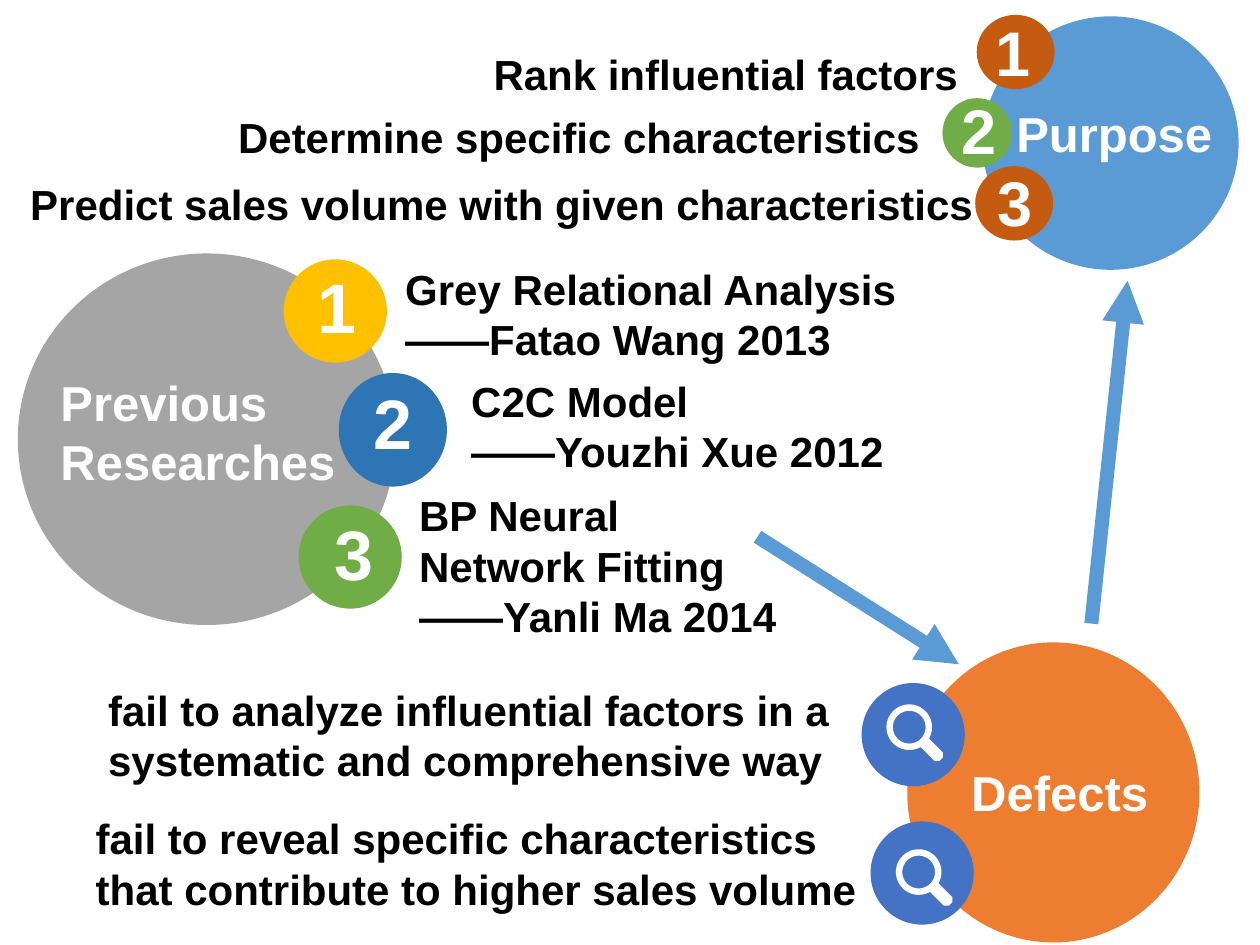
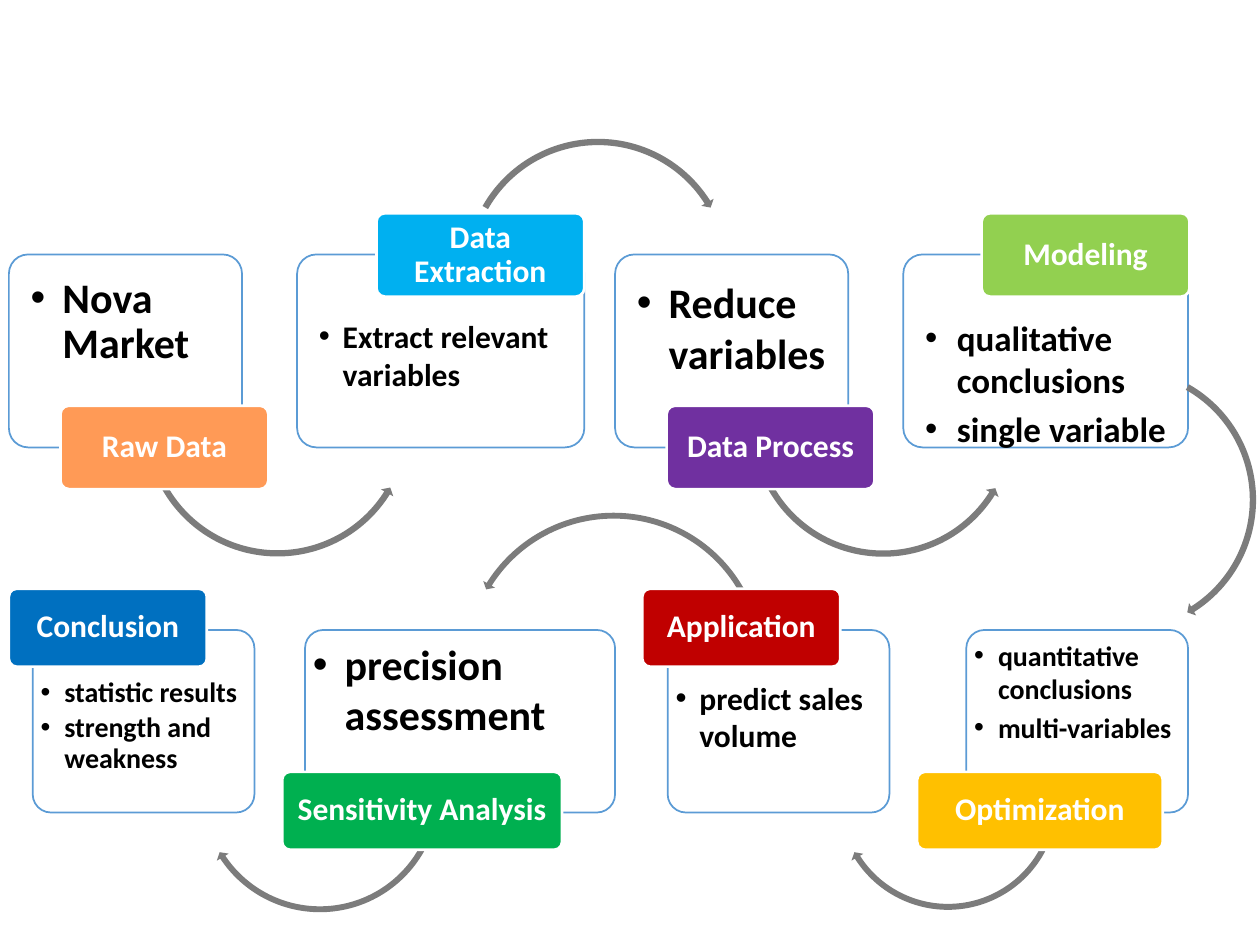
"""Build two slides: a research overview and a modelling workflow."""
from math import asin, cos, pi, sin
from typing import NamedTuple

from lxml.etree import SubElement
from pptx import Presentation
from pptx.dml.color import RGBColor
from pptx.enum.shapes import MSO_CONNECTOR, MSO_SHAPE as Preset
from pptx.enum.text import MSO_ANCHOR as Anchor, PP_ALIGN as Align
from pptx.oxml.ns import qn
from pptx.util import Cm, Pt

WHITE = RGBColor(0xFF, 0xFF, 0xFF)
BLACK = RGBColor(0x00, 0x00, 0x00)
SKY = RGBColor(0x5B, 0x9B, 0xD5)
ORANGE = RGBColor(0xED, 0x7D, 0x31)
GREY = RGBColor(0xA5, 0xA5, 0xA5)
INDIGO = RGBColor(0x44, 0x72, 0xC4)
GOLD = RGBColor(0xFF, 0xC0, 0x00)
BLUE = RGBColor(0x2E, 0x75, 0xB6)
GREEN = RGBColor(0x70, 0xAD, 0x47)
RUST = RGBColor(0xC5, 0x5A, 0x11)
PEACH = RGBColor(0xFF, 0x9A, 0x56)
CYAN = RGBColor(0x00, 0xB0, 0xF0)
PURPLE = RGBColor(0x70, 0x30, 0xA0)
LIME = RGBColor(0x92, 0xD0, 0x50)
RED = RGBColor(0xC0, 0x00, 0x00)
EMERALD = RGBColor(0x00, 0xB0, 0x50)
COBALT = RGBColor(0x00, 0x70, 0xC0)
ARROW_GREY = RGBColor(0x7C, 0x7C, 0x7C)

TOPICS = [
    (["Purpose"], SKY, (19.81, 0.33, 5.16, 5.11), (20.24, 1.96, 4.78, 1.45)),
    (["Defects"], ORANGE, (18.29, 12.95, 5.89, 6.05), (19.33, 15.24, 5.16, 1.45)),
    (["Previous Researches"], GREY, (0.36, 5.11, 7.62, 7.49), (0.97, 7.39, 6.1, 2.64)),
]
STATEMENTS = [
    (["Rank influential factors"], (9.7, 0.86, 9.95, 1.27)),
    (["Determine specific characteristics"], (4.55, 2.13, 14.53, 1.27)),
    (["Predict sales volume with given characteristics"], (0.36, 3.48, 24.21, 1.27)),
    (["Grey Relational Analysis", "——Fatao Wang 2013"], (7.92, 5.18, 10.52, 2.31)),
    (["C2C Model", "——Youzhi Xue 2012"], (9.25, 7.44, 9.09, 2.31)),
    (["BP Neural Network Fitting", "——Yanli Ma 2014"], (8.2, 9.75, 7.92, 3.33)),
    (["fail to analyze influential factors in a systematic and comprehensive way"],
     (1.93, 13.67, 15.16, 2.31)),
    (["fail to reveal specific characteristics that contribute to higher sales volume"],
     (1.68, 16.26, 16.43, 2.31)),
]
NUMBERS = [
    ("1", RUST, (19.69, 0.3, 1.57, 1.5), (19.81, 0.15), 36),
    ("2", GREEN, (19, 1.98, 1.4, 1.4), (19.13, 1.73), 36),
    ("3", RUST, (19.66, 3.35, 1.57, 1.5), (19.86, 3.18), 36),
    ("1", GOLD, (5.72, 5.23, 2.08, 2.08), (6.15, 5.18), 40),
    ("2", BLUE, (6.83, 7.52, 2.18, 2.29), (7.29, 7.52), 40),
    ("3", GREEN, (6.02, 10.19, 2.08, 2.08), (6.5, 10.16), 40),
]
MAGNIFIERS = [((17.37, 13.77), (18.33, 14.66)), ((17.55, 16.56), (18.52, 17.58))]
MAGNIFIER_DISC = 2.08
FLOW_ARROWS = [(15.27, 10.82, 19.33, 13.39), (22, 12.57, 22.73, 5.66)]


class Row(NamedTuple):
    """Vertical measures shared by the cards of one row."""
    top: float
    height: float
    label_height: float
    label_drop: float
    inset: float


class Arrow(NamedTuple):
    """Curved arrow; angles are head length, head end and tail, in degrees."""
    preset: int
    left: float
    top: float
    size: float
    thickness: float
    angles: tuple
    head: float
    rotation: int = 0


class Card(NamedTuple):
    """One step of the workflow."""
    title: str
    colour: RGBColor
    row: Row
    box: tuple
    label: tuple
    label_above: bool
    bullets: list
    size: int
    arrow: Arrow = None
    spacing: float = 1.0
    filled: bool = True


UPPER = Row(5.13, 3.89, 1.68, 3.05, 0.36)
LOWER = Row(12.7, 3.68, 1.57, 2.86, 0.08)
LABEL_RISE = 0.83
TURN, TURN_LEFT = Preset.CIRCULAR_ARROW, Preset.LEFT_CIRCULAR_ARROW
OVER = (2.73, 327.7, 209.6)
UNDER = (2.73, 32.2, 152)

CARDS = [
    Card("Raw Data", PEACH, UPPER, (0.18, 4.7), (1.22, 4.19), False,
         ["Nova Market"], 24,
         Arrow(TURN_LEFT, 2.84, 5.79, 5.51, 0.023, UNDER, 0.026), 0.9),
    Card("Data Extraction", CYAN, UPPER, (5.99, 5.79), (7.59, 4.19), True,
         ["Extract relevant variables"], 18,
         Arrow(TURN, 9.3, 2.72, 5.51, 0.023, OVER, 0.026)),
    Card("Data Process", PURPLE, UPPER, (12.4, 4.7), (13.44, 4.19), False,
         ["Reduce variables"], 24,
         Arrow(TURN_LEFT, 15.06, 5.82, 5.49, 0.023, UNDER, 0.027)),
    Card("Modeling", LIME, UPPER, (18.21, 5.74), (19.79, 4.19), True,
         ["qualitative conclusions", "single variable"], 20,
         Arrow(TURN, 19.89, 7.32, 5.51, 0.023, OVER, 0.026, 90)),
    Card("Optimization", GOLD, LOWER, (19.48, 4.47), (18.49, 4.95), False,
         ["quantitative conclusions", "multi-variables"], 16,
         Arrow(TURN, 16.81, 13.82, 4.6, 0.026, (3.14, 147.5, 28), 0.03)),
    Card("Application", RED, LOWER, (13.46, 4.47), (12.95, 3.99), True,
         ["predict sales volume"], 18,
         Arrow(TURN_LEFT, 9.27, 10.26, 6.2, 0.019, (2.29, 212.2, 331), 0.022)),
    Card("Sensitivity Analysis", EMERALD, LOWER, (6.15, 6.25), (5.69, 5.64), False,
         ["precision assessment"], 24,
         Arrow(TURN, 3.96, 13.49, 4.98, 0.024, (2.89, 146.4, 28), 0.028), filled=False),
    Card("Conclusion", COBALT, LOWER, (0.66, 4.47), (0.18, 3.99), True,
         ["statistic results", "strength and weakness"], 16, spacing=0.9),
]


def cm_all(values):
    return [Cm(value) for value in values]


def add_preset(slide, preset, area, fill=None, line=None, width=1):
    shape = slide.shapes.add_shape(preset, *cm_all(area))
    shape.shadow.inherit = False
    if fill is None:
        shape.fill.background()
    else:
        shape.fill.solid()
        shape.fill.fore_color.rgb = fill
    if line is None:
        shape.line.fill.background()
    else:
        shape.line.color.rgb = line
        shape.line.width = Pt(width)
    return shape


def write(shape, lines, size, colour, font):
    frame = shape.text_frame
    frame.word_wrap = True
    for index, line in enumerate(lines):
        paragraph = frame.paragraphs[0] if index == 0 else frame.add_paragraph()
        run = paragraph.add_run()
        run.text = line
        run.font.name = font
        run.font.size = Pt(size)
        run.font.bold = True
        run.font.color.rgb = colour
    return frame


def add_text(slide, area, lines, size, colour, font="Arial"):
    return write(slide.shapes.add_textbox(*cm_all(area)), lines, size, colour, font)


def set_margins(frame, side, top):
    frame.margin_left = frame.margin_right = Cm(side)
    frame.margin_top = frame.margin_bottom = Cm(top)


def add_flow_arrow(slide, ends):
    connector = slide.shapes.add_connector(MSO_CONNECTOR.STRAIGHT, *cm_all(ends))
    connector.line.color.rgb = SKY
    connector.line.width = Pt(8)
    properties = connector.element.spPr
    SubElement(properties.find(qn("a:ln")), qn("a:tailEnd"), type="triangle")
    SubElement(properties, qn("a:effectLst"))


def add_magnifier(slide, centre, radius=0.46, hole=0.33, half_handle=0.12, steps=48):
    def place(along, across):
        return (Cm(centre[0] + (along - across) * cos(pi / 4)),
                Cm(centre[1] + (along + across) * sin(pi / 4)))

    gap = asin(half_handle / radius)
    angles = [gap + (2 * pi - 2 * gap) * step / steps for step in range(steps + 1)]
    outline = [place(radius * cos(angle), radius * sin(angle)) for angle in angles]
    outline += [place(*point) for point in
                ((0.84, -half_handle), (0.91, -0.05), (0.91, 0.05), (0.84, half_handle))]
    turns = [-2 * pi * step / steps for step in range(steps)]
    lens = [place(hole * cos(turn), hole * sin(turn)) for turn in turns]
    builder = slide.shapes.build_freeform(*outline[0])
    builder.add_line_segments(outline[1:])
    builder.move_to(*lens[0])
    builder.add_line_segments(lens[1:])
    shape = builder.convert_to_shape()
    shape.shadow.inherit = False
    shape.fill.solid()
    shape.fill.fore_color.rgb = WHITE
    shape.line.fill.background()


def build_overview(slide):
    for ends in FLOW_ARROWS:
        add_flow_arrow(slide, ends)
    for lines, colour, disc, area in TOPICS:
        add_preset(slide, Preset.OVAL, disc, colour)
        add_text(slide, area, lines, 28, WHITE)
    for lines, area in STATEMENTS:
        add_text(slide, area, lines, 24, BLACK)
    for number, colour, disc, corner, size in NUMBERS:
        add_preset(slide, Preset.OVAL, disc, colour)
        add_text(slide, (*corner, 1.4, size * 0.05), [number], size, WHITE)
    for corner, centre in MAGNIFIERS:
        add_preset(slide, Preset.OVAL, (*corner, MAGNIFIER_DISC, MAGNIFIER_DISC), INDIGO)
        add_magnifier(slide, centre)


def add_bullets(slide, card, left, width):
    drop = 0.9 if card.label_above else 0.09
    area = (left + 0.08, card.row.top + drop, width - 0.08, card.row.height - 1)
    frame = add_text(slide, area, card.bullets, card.size, BLACK, "Calibri")
    set_margins(frame, card.row.inset, card.row.inset)
    indent = Cm(0.64 if card.size >= 20 else 0.48)
    for paragraph in frame.paragraphs:
        paragraph.line_spacing = card.spacing
        paragraph.space_after = Pt(card.size * 0.18)
        properties = paragraph._p.get_or_add_pPr()
        properties.set("marL", str(indent))
        properties.set("indent", str(-indent))
        SubElement(properties, qn("a:buFont"), typeface="Arial")
        SubElement(properties, qn("a:buChar"), char="•")


def add_turn(slide, arrow):
    area = (arrow.left, arrow.top, arrow.size, arrow.size)
    shape = add_preset(slide, arrow.preset, area, ARROW_GREY)
    shape.rotation = arrow.rotation
    values = [arrow.thickness, *(angle * 0.6 for angle in arrow.angles), arrow.head]
    for index, value in enumerate(values):
        shape.adjustments[index] = value


def add_card(slide, card):
    row = card.row
    left, width = card.box
    box = add_preset(slide, Preset.ROUNDED_RECTANGLE, (left, row.top, width, row.height),
                     WHITE if card.filled else None, SKY)
    box.adjustments[0] = 0.1
    if card.filled:
        colour = box.element.spPr.find(qn("a:solidFill"))[0]
        SubElement(colour, qn("a:alpha"), val="90000")
    add_bullets(slide, card, left, width)
    if card.arrow:
        add_turn(slide, card.arrow)
    label_left, label_width = card.label
    label_top = row.top + (-LABEL_RISE if card.label_above else row.label_drop)
    label = add_preset(slide, Preset.ROUNDED_RECTANGLE,
                       (label_left, label_top, label_width, row.label_height),
                       card.colour, WHITE, 1.5)
    label.adjustments[0] = 0.1
    frame = write(label, [card.title], 18, WHITE, "Calibri")
    set_margins(frame, 0.1, 0.08)
    frame.vertical_anchor = Anchor.MIDDLE
    frame.paragraphs[0].alignment = Align.CENTER
    frame.paragraphs[0].line_spacing = 0.9


def build_workflow(slide):
    for card in CARDS:
        add_card(slide, card)


def main():
    presentation = Presentation()
    presentation.slide_width, presentation.slide_height = Cm(25.4), Cm(19.05)
    for build in (build_overview, build_workflow):
        build(presentation.slides.add_slide(presentation.slide_layouts[6]))
    presentation.save("out.pptx")


if __name__ == "__main__":
    main()
